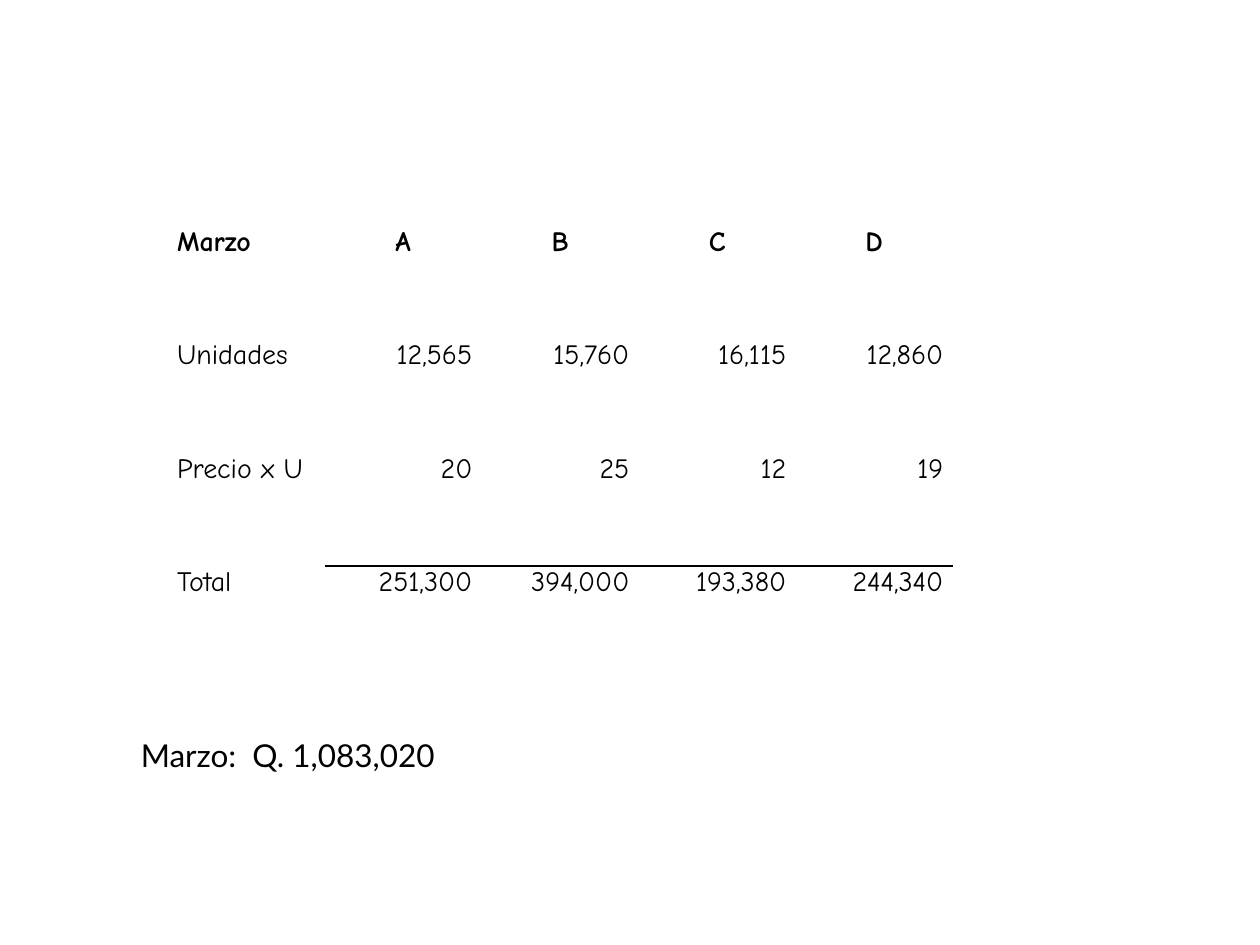
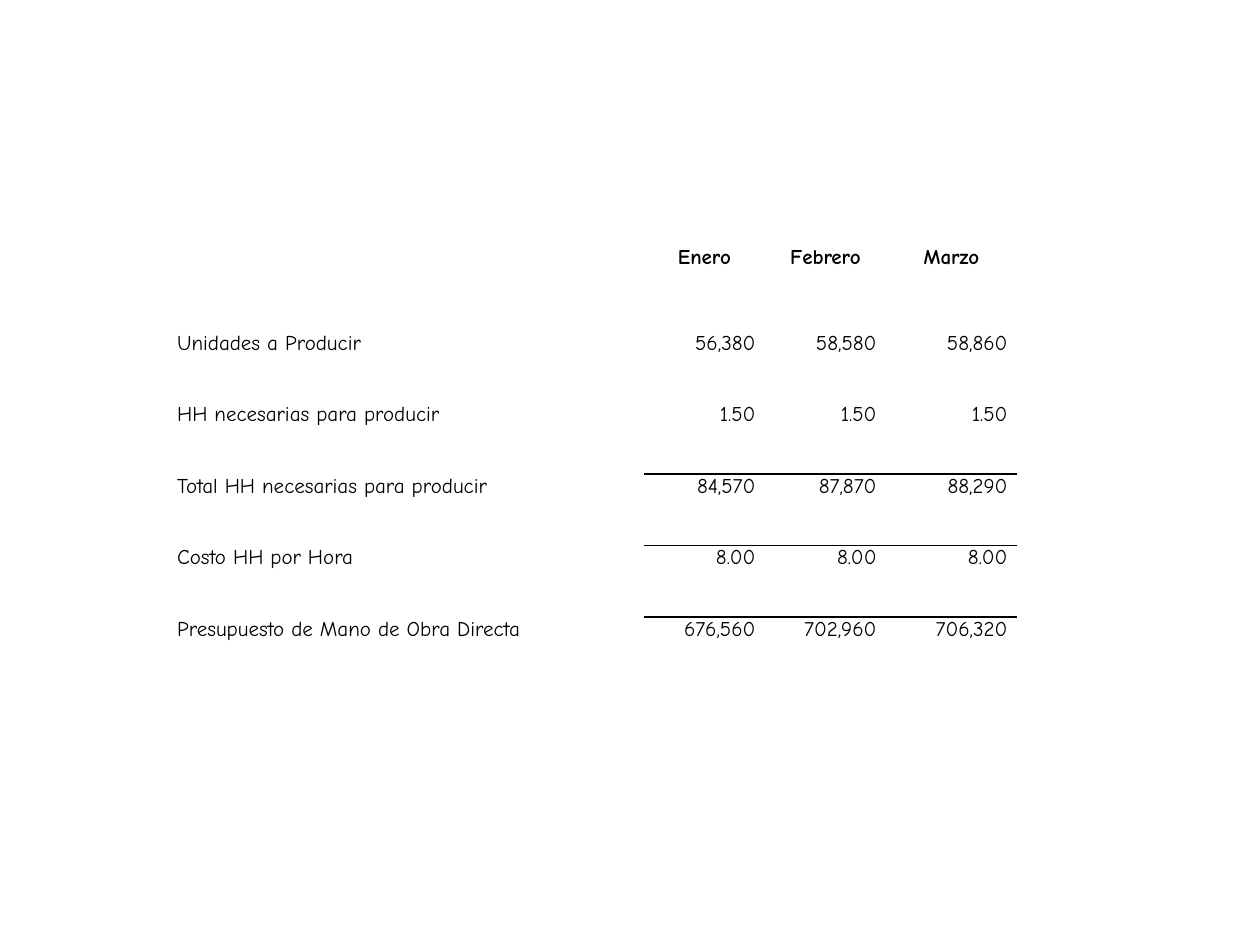
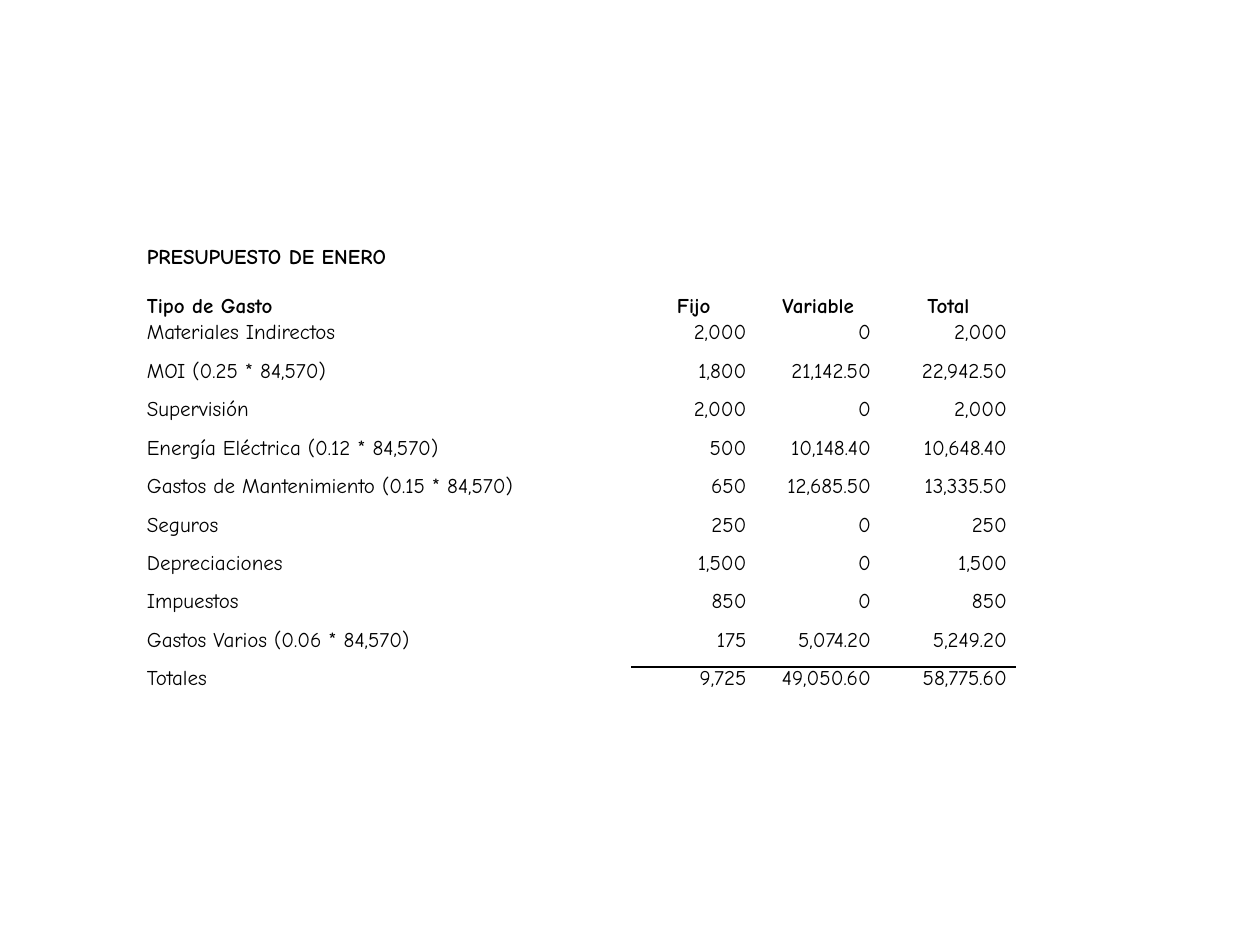
"""Build three budget slides, each holding a plain ruled table."""
from dataclasses import dataclass

from lxml import etree
from pptx import Presentation
from pptx.dml.color import RGBColor
from pptx.enum.text import PP_ALIGN
from pptx.oxml.ns import qn
from pptx.util import Cm, Pt

LEFT, CENTER, RIGHT, JUSTIFY = PP_ALIGN.LEFT, PP_ALIGN.CENTER, PP_ALIGN.RIGHT, PP_ALIGN.JUSTIFY
BLANK_LAYOUT = 6
PLAIN_TABLE_STYLE = "{2D5ABB26-0587-4C30-8999-92F81FD0307C}"


@dataclass(frozen=True)
class Theme:
    """Colours, fonts, type sizes in points and table measures."""
    ink: str = "000000"
    table_font: str = "Comic Neue"
    note_font: str = "Lato"
    large: int = 16
    small: int = 12
    note: int = 18
    line_spacing: int = 14
    rule: int = 1
    cell_margin: float = 0.19


THEME = Theme()

BUDGETS = [
    {
        "rows": [
            ["Marzo", "A", "B", "C", "D"],
            ["Unidades", "12,565", "15,760", "16,115", "12,860"],
            ["Precio x U", "20", "25", "12", "19"],
            ["Total", "251,300", "394,000", "193,380", "244,340"],
        ],
        "totals": [3],
        "size": THEME.large,
        "position": (3.38, 4.57),
        "columns": [3.165] * 5,
        "header_height": 2.28,
        "height": 9.12,
        "note": {"text": "Marzo:  Q. 1,083,020", "box": (2.59, 14.71, 7.75, 1.02)},
    },
    {
        "rows": [
            ["", "Enero", "Febrero", "Marzo"],
            ["Unidades a Producir", "56,380", "58,580", "58,860"],
            ["HH necesarias para producir", "1.50", "1.50", "1.50"],
            ["Total HH necesarias para producir", "84,570", "87,870", "88,290"],
            ["Costo HH por Hora", "8.00", "8.00", "8.00"],
            ["Presupuesto de Mano de Obra Directa", "676,560", "702,960", "706,320"],
        ],
        "totals": [3, 5],
        "size": THEME.small,
        "position": (3.38, 4.95),
        "columns": [9.6, 2.44, 2.44, 2.64],
        "header_height": 1.73,
        "height": 8.93,
    },
    {
        "title": "PRESUPUESTO DE ENERO",
        "rows": [
            ["Tipo de Gasto", "Fijo", "Variable", "Total"],
            ["Materiales Indirectos", "2,000", "0", "2,000"],
            ["MOI (0.25 * 84,570)", "1,800", "21,142.50", "22,942.50"],
            ["Supervisión", "2,000", "0", "2,000"],
            ["Energía Eléctrica (0.12 * 84,570)", "500", "10,148.40", "10,648.40"],
            ["Gastos de Mantenimiento (0.15 * 84,570)", "650", "12,685.50", "13,335.50"],
            ["Seguros", "250", "0", "250"],
            ["Depreciaciones", "1,500", "0", "1,500"],
            ["Impuestos", "850", "0", "850"],
            ["Gastos Varios (0.06 * 84,570)", "175", "5,074.20", "5,249.20"],
            ["Totales", "9,725", "49,050.60", "58,775.60"],
        ],
        "totals": [10],
        "size": THEME.small,
        "position": (2.77, 4.95),
        "columns": [9.96, 2.51, 2.51, 2.74],
        "header_height": 1.52,
        "height": 9.27,
    },
]


def write_text(paragraph, text, *, font, size, bold=False, align=LEFT, space_before=0):
    """Write one formatted run into a paragraph."""
    paragraph.alignment = align
    if space_before:
        paragraph.space_before = Pt(space_before)
    run = paragraph.add_run()
    run.text = text
    run.font.name = font
    run.font.size = Pt(size)
    run.font.bold = bold
    run.font.color.rgb = RGBColor.from_string(THEME.ink)


def add_rule(cell, edge):
    """Draw a rule on the named edge of a cell."""
    properties = cell._tc.get_or_add_tcPr()
    line = etree.SubElement(properties, qn(f"a:{edge}"), w=str(Pt(THEME.rule)))
    fill = etree.SubElement(line, qn("a:solidFill"))
    etree.SubElement(fill, qn("a:srgbClr"), val=THEME.ink)


def fill_cell(cell, text, row, column, budget):
    """Set margins, rules and text of one table cell."""
    header, label = row == 0, column == 0
    title = budget.get("title")
    cell.margin_left = cell.margin_right = Cm(THEME.cell_margin)
    cell.margin_top = cell.margin_bottom = 0
    if not label and row in budget["totals"]:
        add_rule(cell, "lnT")
    if not label and row + 1 in budget["totals"]:
        add_rule(cell, "lnB")
    cell.fill.background()
    if not text:
        return
    style = {"font": THEME.table_font, "size": budget["size"], "bold": header}
    paragraph = cell.text_frame.paragraphs[0]
    space_before = 0
    if header and title and label:
        write_text(paragraph, title, **style)
        paragraph = cell.text_frame.add_paragraph()
        space_before = THEME.line_spacing
    elif header and title:
        cell.margin_top = Pt(2 * THEME.line_spacing)
    if label:
        align = LEFT if header and title else JUSTIFY
    else:
        align = CENTER if header else RIGHT
    write_text(paragraph, text, align=align, space_before=space_before, **style)


def add_budget_table(slide, budget):
    """Add the ruled table of one budget."""
    rows, columns = budget["rows"], budget["columns"]
    left, top = budget["position"]
    shape = slide.shapes.add_table(len(rows), len(columns), Cm(left), Cm(top),
                                   Cm(sum(columns)), Cm(budget["height"]))
    table = shape.table
    table.first_row = table.horz_banding = False
    table._tbl.tblPr.find(qn("a:tableStyleId")).text = PLAIN_TABLE_STYLE
    for column, width in enumerate(columns):
        table.columns[column].width = Cm(width)
    body_height = (budget["height"] - budget["header_height"]) / (len(rows) - 1)
    for row, texts in enumerate(rows):
        table.rows[row].height = Cm(body_height if row else budget["header_height"])
        for column, text in enumerate(texts):
            fill_cell(table.cell(row, column), text, row, column, budget)


def add_note(slide, note):
    """Add the line of text below a table."""
    shape = slide.shapes.add_textbox(*(Cm(length) for length in note["box"]))
    shape.text_frame.word_wrap = True
    write_text(shape.text_frame.paragraphs[0], note["text"], font=THEME.note_font, size=THEME.note)


def build():
    """Build and save the presentation."""
    presentation = Presentation()
    presentation.slide_width, presentation.slide_height = Cm(25.4), Cm(19.05)
    for budget in BUDGETS:
        slide = presentation.slides.add_slide(presentation.slide_layouts[BLANK_LAYOUT])
        add_budget_table(slide, budget)
        if "note" in budget:
            add_note(slide, budget["note"])
    presentation.save("out.pptx")


build()
